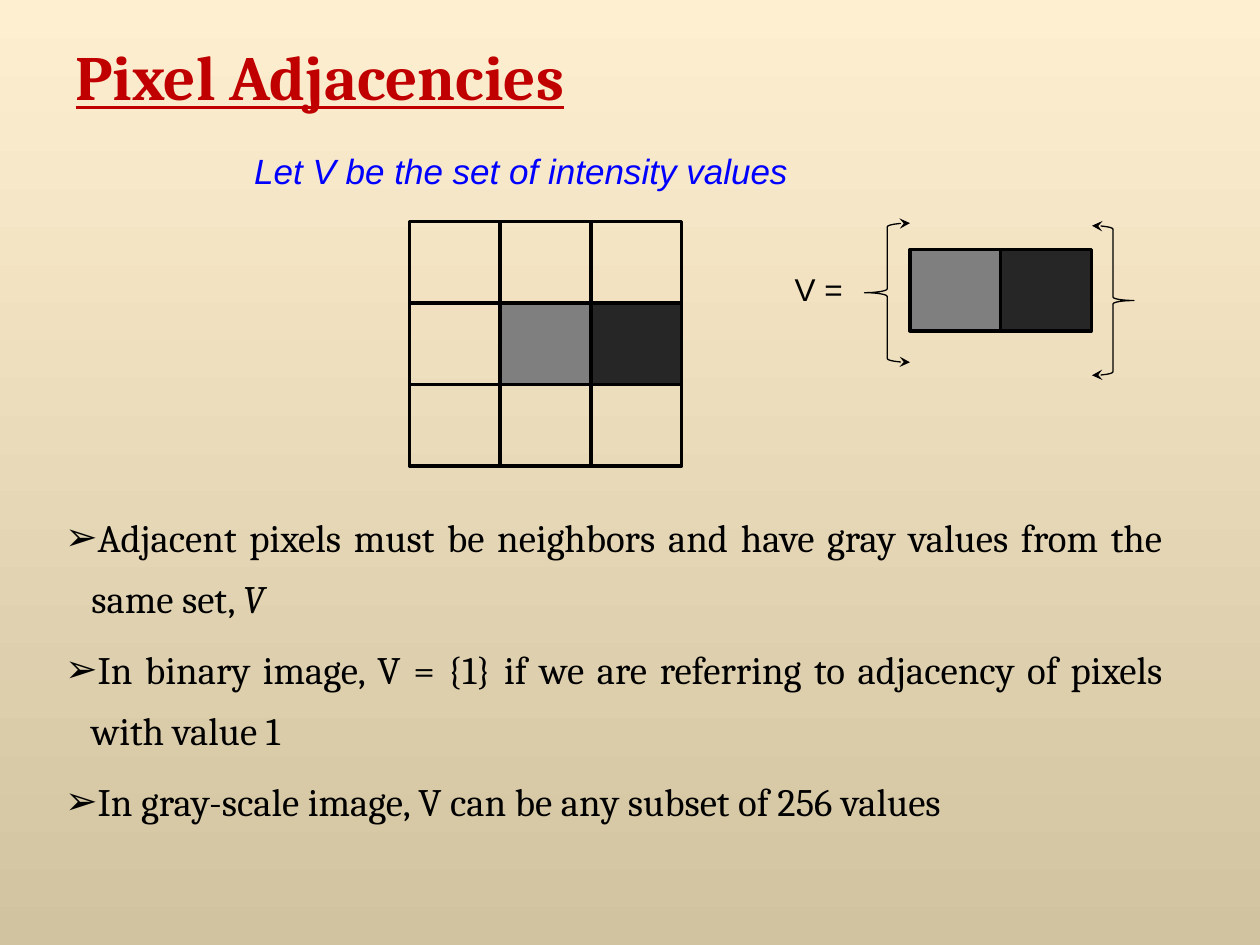
from dataclasses import dataclass
from itertools import product

from lxml.etree import SubElement
from pptx import Presentation
from pptx.dml.color import RGBColor
from pptx.enum.shapes import MSO_SHAPE as Preset
from pptx.enum.text import MSO_ANCHOR as Anchor, MSO_AUTO_SIZE as AutoSize, PP_ALIGN as Align
from pptx.oxml.ns import qn
from pptx.util import Pt

BLACK = "000000"
PIXEL_WIDTH, PIXEL_HEIGHT = 51.84, 46.5
GRAY, DARK = "7F7F7F", "262626"


@dataclass
class Area:
    left: float
    top: float
    width: float
    height: float

    def lengths(self) -> tuple:
        return Pt(self.left), Pt(self.top), Pt(self.width), Pt(self.height)


@dataclass
class Style:
    font: str
    size: float
    color: str
    bold: bool = False
    italic: bool = False
    underline: bool = False


@dataclass
class Brace:
    preset: Preset
    area: Area


def color(value: str) -> RGBColor:
    return RGBColor.from_string(value)


def place(shape, area: Area) -> None:
    shape.left, shape.top, shape.width, shape.height = area.lengths()


def format_span(span, style: Style) -> None:
    font = span.font
    font.name, font.size = style.font, Pt(style.size)
    font.bold, font.italic, font.underline = style.bold, style.italic, style.underline
    font.color.rgb = color(style.color)


def draw_shape(shapes, preset: Preset, area: Area, line_width: float, fill: str = ""):
    shape = shapes.add_shape(preset, *area.lengths())
    shape.shadow.inherit = False
    shape.line.color.rgb = color(BLACK)
    shape.line.width = Pt(line_width)
    if fill:
        shape.fill.solid()
        shape.fill.fore_color.rgb = color(fill)
    else:
        shape.fill.background()
    return shape


def draw_pixels(shapes, left: float, top: float, rows: list) -> None:
    for row, column in product(range(len(rows)), range(len(rows[0]))):
        area = Area(left + column * PIXEL_WIDTH, top + row * PIXEL_HEIGHT, PIXEL_WIDTH, PIXEL_HEIGHT)
        draw_shape(shapes, Preset.RECTANGLE, area, 2, rows[row][column])


def draw_brace(page, brace: Brace) -> None:
    shape = draw_shape(page.shapes, brace.preset, brace.area, 0.75)
    line = shape.line._get_or_add_ln()
    for end in ("a:headEnd", "a:tailEnd"):
        SubElement(line, qn(end), type="stealth")


def draw_label(page, area: Area, text: str, style: Style, wrap: bool) -> None:
    box = page.shapes.add_textbox(*area.lengths())
    box.text_frame.word_wrap = wrap
    box.text_frame.text = text
    format_span(box.text_frame.paragraphs[0].runs[0], style)


def fill_title(title, text: str, style: Style) -> None:
    place(title, Area(36, 18, 648, 50.4))
    frame = title.text_frame
    frame.text = text
    frame.auto_size = AutoSize.NONE
    frame.vertical_anchor = Anchor.MIDDLE
    frame.paragraphs[0].alignment = Align.LEFT
    format_span(frame.paragraphs[0].runs[0], style)


def add_bullet(para) -> None:
    properties = para._p.get_or_add_pPr()
    properties.set("marL", str(Pt(27)))
    properties.set("indent", str(Pt(-15)))
    bullet_color = SubElement(properties, qn("a:buClr"))
    SubElement(bullet_color, qn("a:srgbClr"), val=BLACK)
    SubElement(properties, qn("a:buChar"), char="➢")


def fill_body(body, items: list, style: Style) -> None:
    place(body, Area(18, 282.2, 653.8, 192.2))
    frame = body.text_frame
    frame.text = "\n".join(items)
    frame.auto_size = AutoSize.NONE
    for index, para in enumerate(frame.paragraphs):
        add_bullet(para)
        para.alignment = Align.JUSTIFY
        para.line_spacing = 1.3
        para.space_before = Pt(6 if index else 0)
        for span in para.runs:
            format_span(span, style)


def paint_background(page) -> None:
    fill = page.background.fill
    fill.gradient()
    fill.gradient_angle = 270
    for stop, value, position in zip(fill.gradient_stops, ("FFEFD1", "D1C39F"), (0, 1)):
        stop.color.rgb = color(value)
        stop.position = position


def main() -> None:
    deck = Presentation()
    deck.slide_width, deck.slide_height = Pt(720), Pt(540)
    page = deck.slides.add_slide(deck.slide_layouts[1])
    paint_background(page)

    fill_title(page.shapes.title, "Pixel Adjacencies",
               Style("Cambria", 36, "C00000", bold=True, underline=True))

    body = page.placeholders[1]
    body_style = Style("Cambria", 22.2, BLACK)
    fill_body(body, [
        "Adjacent pixels must be neighbors and have gray values from the same set, ",
        "In binary image, V = {1} if we are referring to adjacency of pixels with value 1",
        "In gray-scale image, V can be any subset of 256 values",
    ], body_style)
    symbol = body.text_frame.paragraphs[0].add_run()
    symbol.text = "V"
    format_span(symbol, body_style)
    symbol.font.italic = True

    draw_label(page, Area(138.2, 82, 427.7, 31.7), "Let V be the set of intensity values",
               Style("Arial", 20, "0000FF", italic=True), True)
    draw_label(page, Area(447, 150.5, 46.8, 28.8), "V =", Style("Arial", 18, BLACK), False)

    grid = page.shapes.add_group_shape()
    draw_pixels(grid.shapes, 234, 126.7, [["", "", ""], ["", GRAY, DARK], ["", "", ""]])
    draw_pixels(page.shapes, 520, 142.6, [[GRAY, DARK]])

    for brace in (
        Brace(Preset.LEFT_BRACE, Area(494, 127.5, 26, 79.5)),
        Brace(Preset.RIGHT_BRACE, Area(624, 129, 24, 85.5)),
    ):
        draw_brace(page, brace)

    deck.save("out.pptx")


if __name__ == "__main__":
    main()
